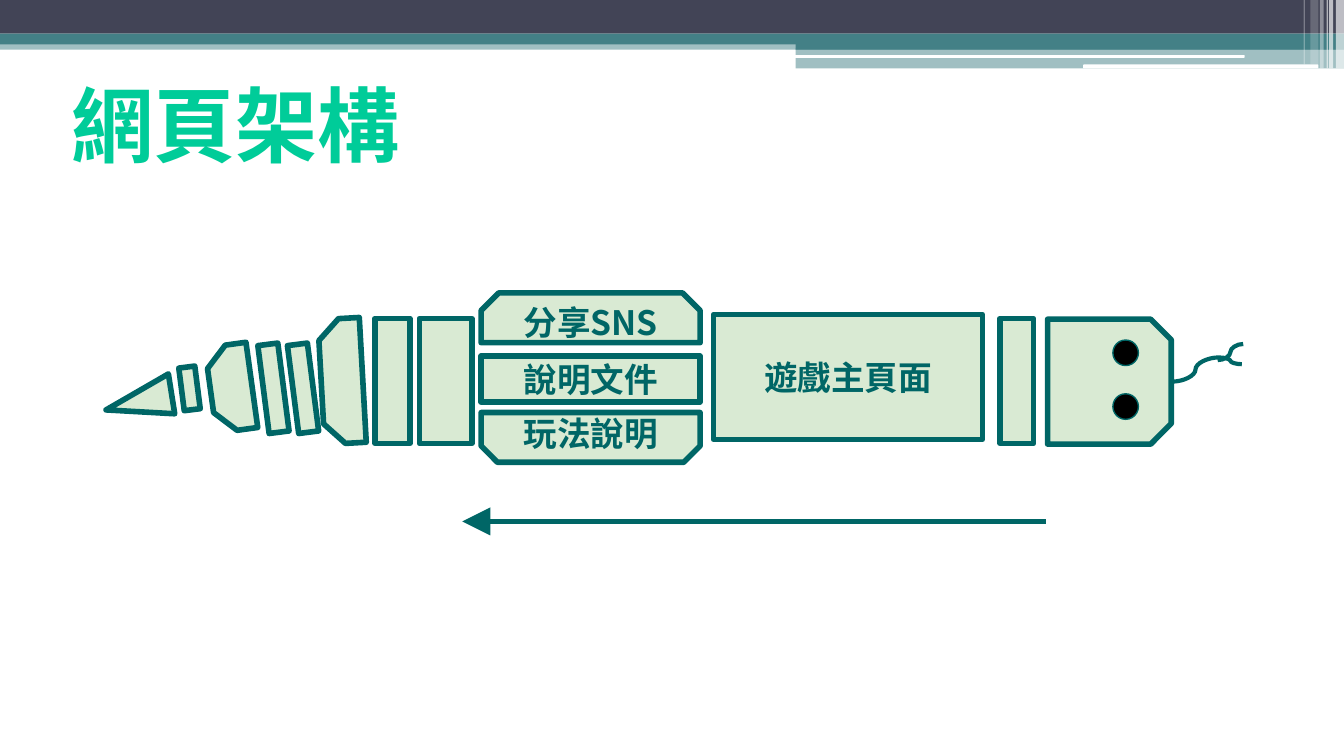
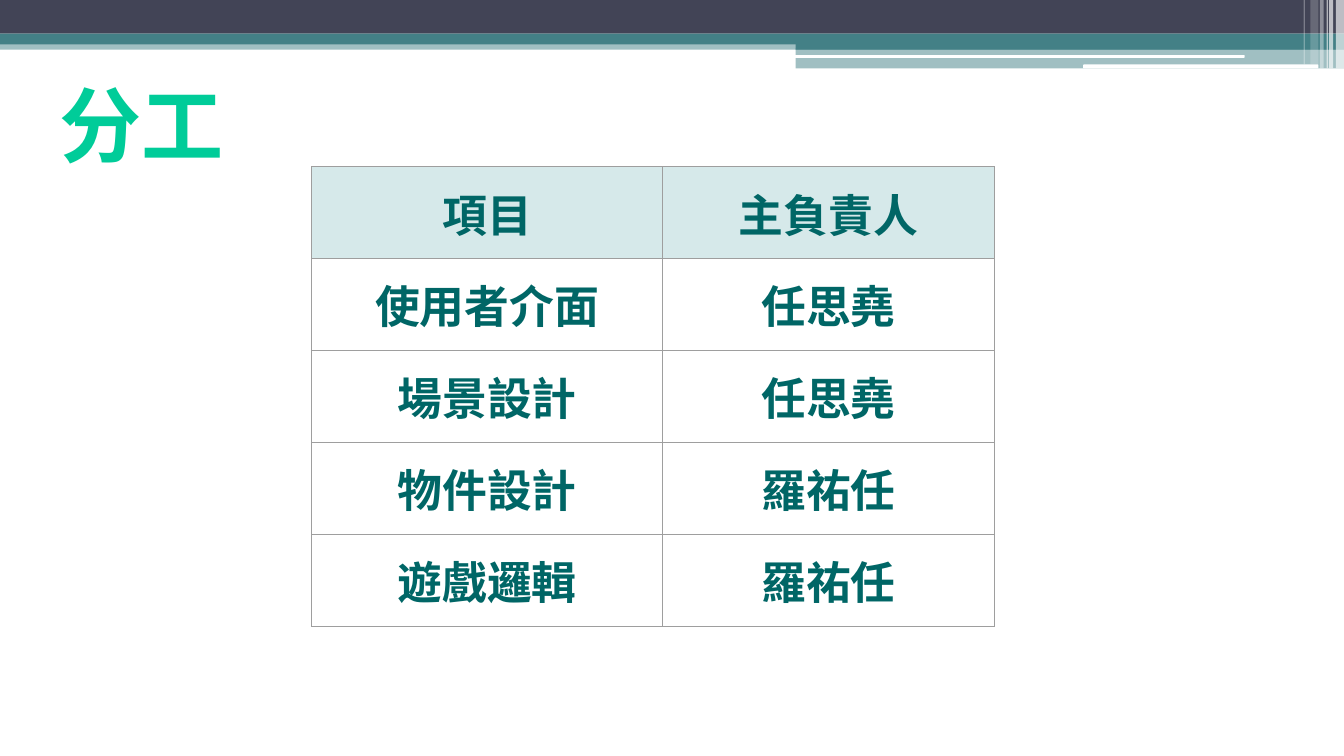
import collections

import lxml.etree
import pptx
import pptx.dml.color
import pptx.enum.shapes
import pptx.enum.text
import pptx.oxml.ns
import pptx.util

Theme = collections.namedtuple(
    "Theme", "font navy teal white mint dark pale header border black title label cell")
T = Theme(font="Noto Sans CJK SC", navy="424456", teal="438086", white="FFFFFF",
          mint="00CC99", dark="006666", pale="D9EAD3", header="D6E9EA",
          border="9E9E9E", black="000000", title=44, label=18, cell=24)

RGB = pptx.dml.color.RGBColor.from_string
MSO = pptx.enum.shapes.MSO_SHAPE
LINK = pptx.enum.shapes.MSO_CONNECTOR
HOLDER = pptx.enum.shapes.PP_PLACEHOLDER
ANCHOR = pptx.enum.text.MSO_ANCHOR
ALIGN = pptx.enum.text.PP_ALIGN
Pt = pptx.util.Pt
qn = pptx.oxml.ns.qn
sub = lxml.etree.SubElement

# A 16:9 slide on a grid of square cells, 100 columns wide
prs = pptx.Presentation()
prs.slide_width = pptx.util.Inches(10)
prs.slide_height = prs.slide_width * 9 // 16
COLS = 100
CELL = prs.slide_width / COLS
MARGIN = round(CELL)


def add_box(s, kind, grid, fill, line=None, width=3, rot=0, adj=()):
    """Add a preset shape at (column, row, columns, rows)."""
    sp = s.shapes.add_shape(kind, *(round(v * CELL) for v in grid))
    sp.shadow.inherit = False
    sp.rotation = rot
    sp.fill.solid()
    sp.fill.fore_color.rgb = RGB(fill)
    if line:
        sp.line.color.rgb = RGB(line)
        sp.line.width = Pt(width)
    else:
        sp.line.fill.background()
    for i, value in enumerate(adj):
        sp.adjustments[i] = value
    return sp


def set_text(tf, text, size, color, align):
    """Write one bold paragraph and return its run."""
    tf.text = text
    p = tf.paragraphs[0]
    p.alignment = align
    r = p.runs[0]
    r.font.size, r.font.bold, r.font.name = Pt(size), True, T.font
    r.font.color.rgb = RGB(color)
    sub(r.font._element, qn("a:ea"), typeface=T.font)
    return r


# The slides have no date, footer or number
layout = prs.slide_layouts[5]
for holder in [*prs.slide_master.placeholders, *layout.placeholders]:
    if holder.placeholder_format.type in (HOLDER.DATE, HOLDER.FOOTER, HOLDER.SLIDE_NUMBER):
        holder._element.getparent().remove(holder._element)

# Slides and their titles
slides = []
for text, left in (("網頁架構", 4.3), ("分工", 3.4)):
    s = prs.slides.add_slide(layout)
    sp = s.shapes.title
    sp.left, sp.top, sp.width, sp.height = (round(v * CELL) for v in (left, 4.5, 93.2, 6.6))
    tf = sp.text_frame
    tf.margin_left = tf.margin_right = tf.margin_top = tf.margin_bottom = MARGIN
    tf.auto_size = pptx.enum.text.MSO_AUTO_SIZE.NONE
    tf.vertical_anchor = ANCHOR.TOP
    r = set_text(tf, text, T.title, T.mint, ALIGN.LEFT)
    ln = lxml.etree.Element(qn("a:ln"), w=str(Pt(0.75)))
    sub(sub(ln, qn("a:solidFill")), qn("a:srgbClr"), val=T.teal)
    r.font._element.insert(0, ln)
    slides.append(s)
structure, work = slides

# Header bands, moved to the master so that every slide shares them
bands = [
    (MSO.RECTANGLE, (0, 3, COLS, 0.7), T.teal, 50),
    (MSO.RECTANGLE, (0, 0, COLS, 2.5), T.navy, 100),
    (MSO.RECTANGLE, (0, 2.5, COLS, 0.8), T.teal, 100),
    (MSO.RECTANGLE, (59.2, 3, 40.8, 0.7), T.teal, 100),
    (MSO.RECTANGLE, (59.2, 3.6, 40.8, 1.5), T.teal, 50),
    (MSO.ROUNDED_RECTANGLE, (59.1, 4.1, 33.5, 0.2), T.white, 100),
    (MSO.ROUNDED_RECTANGLE, (80.6, 4.8, 17.5, 0.3), T.white, 100),
]
stripes = [(99.4, 0.6, 5.1, 65), (98.9, 0.3, 5.1, 65), (98.7, 0.1, 5.1, 60),
           (98.2, 0.3, 5.1, 40), (97.5, 0.6, 4.8, 20), (97, 0.1, 4.8, 30)]
bands += [(MSO.RECTANGLE, (x, 0, w, h), T.white, alpha) for x, w, h, alpha in stripes]
tree = prs.slide_master.shapes._spTree
for i, (kind, grid, fill, alpha) in enumerate(bands):
    sp = add_box(structure, kind, grid, fill)
    if alpha < 100:
        color = sp._element.spPr.find(qn("a:solidFill"))[0]
        sub(color, qn("a:alpha"), val=str(alpha * 1000))
    sp._element.nvSpPr.cNvPr.set("id", str(20 + i))
    tree.insert(2 + i, sp._element)

# Tongue of the snake and the direction arrow
tongue = [(87.2, 28.4, 90.7, 26.6), (90.6, 26.8, 92.5, 25.6), (90.7, 26.6, 92.4, 27.1)]
links = [(LINK.CURVE, ends, 2.25) for ends in tongue]
links.append((LINK.STRAIGHT, (77.8, 38.8, 34.4, 38.8), 3))
for kind, ends, width in links:
    cx = structure.shapes.add_connector(kind, *(round(v * CELL) for v in ends))
    cx.line.color.rgb = RGB(T.dark)
    cx.line.width = Pt(width)
    if kind == LINK.STRAIGHT:
        sub(cx.line._get_or_add_ln(), qn("a:tailEnd"), type="triangle", w="lg", len="lg")
    sub(cx._element.spPr, qn("a:effectLst"))

# Head, body and tail: kind, grid, rotation, adjustments
SNIP = MSO.SNIP_2_SAME_RECTANGLE
parts = [
    (SNIP, (77.9, 23.8, 9.3, 9.2), 90, (0.167, 0)),
    (MSO.RECTANGLE, (74.4, 23.7, 2.5, 9.3), 0, ()),
    (MSO.RECTANGLE, (31.2, 23.7, 3.9, 9.3), 0, ()),
    (MSO.RECTANGLE, (27.9, 23.7, 2.6, 9.3), 0, ()),
    (SNIP, (20.8, 26.8, 9.3, 3.1), 266.8, (0.5, 0)),
    (MSO.RECTANGLE, (21.8, 25.6, 1.5, 6.6), 352.7, ()),
    (MSO.RECTANGLE, (19.6, 25.6, 1.5, 6.6), 352.7, ()),
    (SNIP, (14, 27.3, 6.4, 3.1), 262.1, (0.5, 0)),
    (MSO.RECTANGLE, (13.5, 27.3, 1.2, 3.2), 352.7, ()),
    (MSO.ISOSCELES_TRIANGLE, (8.8, 27.2, 3, 5), 260.9, (0.364,)),
]
for kind, grid, rot, adj in parts:
    add_box(structure, kind, grid, T.pale, T.dark, rot=rot, adj=adj)
for eye_row in (25.3, 29.3):
    add_box(structure, MSO.OVAL, (82.8, eye_row, 1.9, 1.9), T.black, T.dark, 0.75, rot=90)

# Body parts that name the pages
pages = [
    ("遊戲主頁面", MSO.RECTANGLE, (53.1, 23.4, 20, 9.3), ()),
    ("分享SNS", SNIP, (35.8, 21.8, 16.3, 3.7), (0.355, 0)),
    ("玩法說明", SNIP, (35.8, 30.7, 16.3, 3.7), (0, 0.33)),
    ("說明文件", MSO.RECTANGLE, (35.8, 26.5, 16.3, 3.4), ()),
]
for text, kind, grid, adj in pages:
    tf = add_box(structure, kind, grid, T.pale, T.dark, adj=adj).text_frame
    tf.margin_left = tf.margin_right = tf.margin_top = tf.margin_bottom = MARGIN
    tf.vertical_anchor = ANCHOR.MIDDLE
    tf.word_wrap = True
    set_text(tf, text, T.label, T.dark, ALIGN.CENTER)

# Table of who does what
duties = [("項目", "主負責人"), ("使用者介面", "任思堯"), ("場景設計", "任思堯"),
          ("物件設計", "羅祐任"), ("遊戲邏輯", "羅祐任")]
widths, row_height = (26.1, 24.7), 6.83
grid = (23.2, 12.4, sum(widths), row_height * len(duties))
table = work.shapes.add_table(len(duties), len(widths), *(round(v * CELL) for v in grid)).table
table.first_row = table.horz_banding = False
for column, width in zip(table.columns, widths):
    column.width = round(width * CELL)
for i, duty in enumerate(duties):
    table.rows[i].height = round(row_height * CELL)
    for j, text in enumerate(duty):
        cell = table.cell(i, j)
        cell.margin_left = cell.margin_right = cell.margin_top = cell.margin_bottom = MARGIN
        set_text(cell.text_frame, text, T.cell, T.dark, ALIGN.CENTER)
        for side in ("a:lnL", "a:lnR", "a:lnT", "a:lnB"):
            ln = sub(cell._tc.get_or_add_tcPr(), qn(side), w=str(Pt(0.75)))
            sub(sub(ln, qn("a:solidFill")), qn("a:srgbClr"), val=T.border)
        if i == 0:
            cell.fill.solid()
            cell.fill.fore_color.rgb = RGB(T.header)
        else:
            cell.fill.background()

prs.save("out.pptx")
